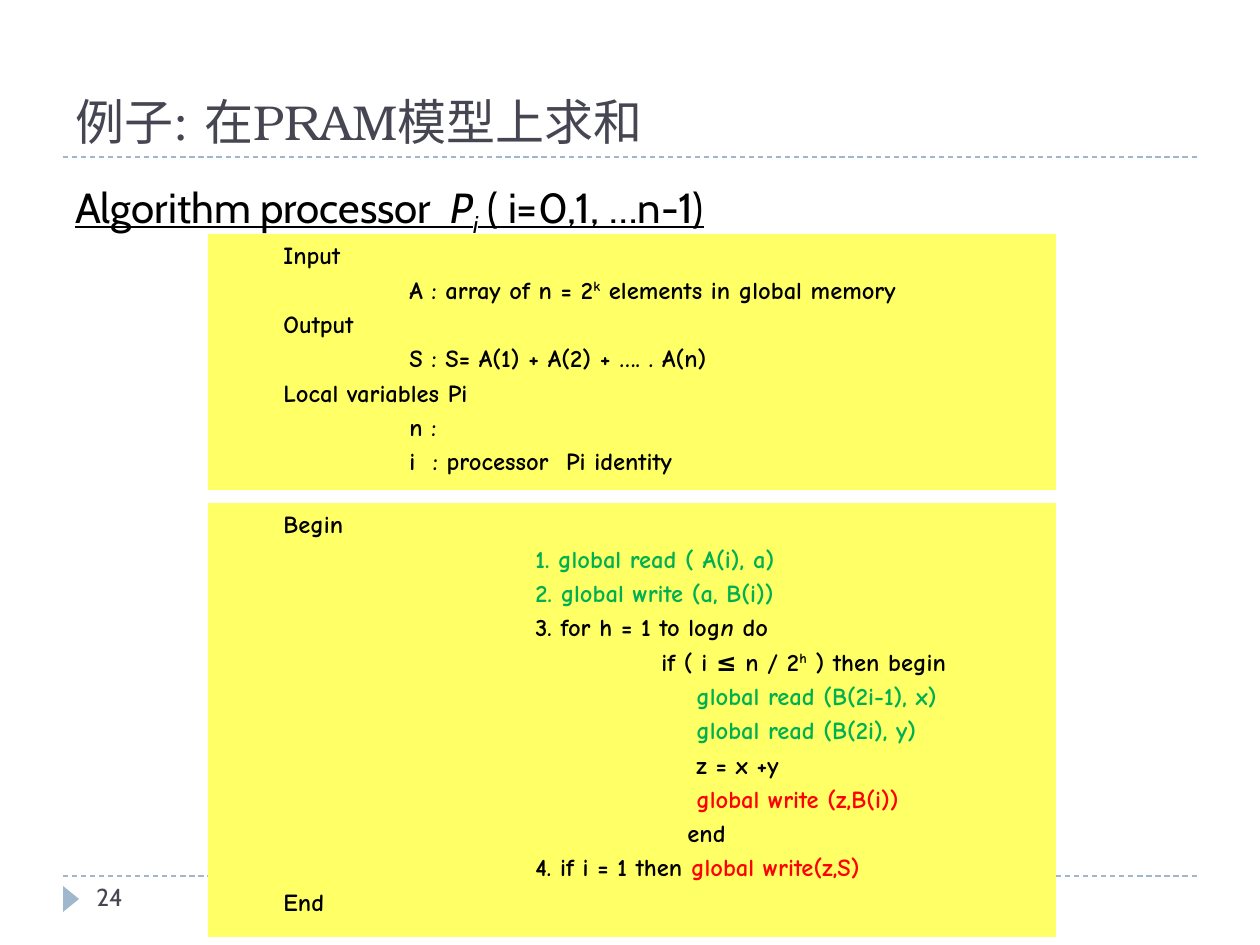
import pptx
import pptx.util
import pptx.dml.color
import pptx.enum.dml
import pptx.enum.shapes
import pptx.enum.text
import pptx.oxml
import pptx.oxml.ns
from dataclasses import dataclass


@dataclass(frozen=True)
class Theme:
    ink: str = "000000"
    slate: str = "464653"
    blue: str = "9FB8CD"
    yellow: str = "FFFF66"
    green: str = "00B050"
    red: str = "FF0000"
    serif: str = "TeX Gyre Bonum"
    sans: str = "Cabin"
    comic: str = "Comic Neue"
    title: int = 28
    head: int = 24
    small: int = 14


def px(n):
    return pptx.util.Emu(round(n * 914400 / 126))


def rgb(code):
    return pptx.dml.color.RGBColor.from_string(code)


class Deck:
    def __init__(self, theme):
        self.theme = theme
        self.show = pptx.Presentation()
        self.show.slide_width, self.show.slide_height = px(1260), px(945)
        self.slide = self.show.slides.add_slide(self.show.slide_layouts[5])

    def style(self, run, face, size, color, bold=False, italic=False, line=False, base=0):
        font = run.font
        font.name, font.size = face, pptx.util.Pt(size)
        font.bold, font.italic, font.underline = bold, italic, line
        font.color.rgb = rgb(color)
        if base:
            run._r.get_or_add_rPr().set("baseline", str(base * 1000))

    def fill(self, para, parts, **look):
        """Parts are (text, changes to the look) pairs."""
        para.alignment = pptx.enum.text.PP_ALIGN.LEFT
        for text, change in parts:
            run = para.add_run()
            run.text = text
            self.style(run, **{**look, **change})

    def title(self, text, box):
        shape = self.slide.shapes.title
        shape.left, shape.top, shape.width, shape.height = map(px, box)
        frame = shape.text_frame
        frame.text = text
        frame.auto_size = pptx.enum.text.MSO_AUTO_SIZE.NONE
        frame.vertical_anchor = pptx.enum.text.MSO_ANCHOR.BOTTOM
        para = frame.paragraphs[0]
        para.alignment = pptx.enum.text.PP_ALIGN.LEFT
        self.style(para.runs[0], self.theme.serif, self.theme.title, self.theme.slate)

    def label(self, parts, box, gap=0, **look):
        frame = self.slide.shapes.add_textbox(*map(px, box)).text_frame
        frame.word_wrap = True
        para = frame.paragraphs[0]
        para.space_before = pptx.util.Pt(gap)
        self.fill(para, parts, **look)

    def rule(self, x, y, end):
        line = self.slide.shapes.add_connector(
            pptx.enum.shapes.MSO_CONNECTOR.STRAIGHT, px(x), px(y), px(end), px(y))
        line.line.color.rgb = rgb(self.theme.blue)
        line.line.width = pptx.util.Pt(0.75)
        line.line.dash_style = pptx.enum.dml.MSO_LINE.DASH
        pptx.oxml.ns.qn("a:effectLst")
        line._element.spPr.append(pptx.oxml.parse_xml(
            "<a:effectLst %s/>" % pptx.oxml.ns.nsdecls("a")))

    def block(self, kind, box, color):
        shape = self.slide.shapes.add_shape(kind, *map(px, box))
        shape.shadow.inherit = False
        shape.fill.solid()
        shape.fill.fore_color.rgb = rgb(color)
        shape.line.fill.background()
        return shape

    def code(self, rows, box):
        """Rows are (left indent in px, parts) pairs."""
        theme = self.theme
        frame = self.block(pptx.enum.shapes.MSO_SHAPE.RECTANGLE, box, theme.yellow).text_frame
        frame.word_wrap = True
        frame.vertical_anchor = pptx.enum.text.MSO_ANCHOR.TOP
        frame.auto_size = pptx.enum.text.MSO_AUTO_SIZE.SHAPE_TO_FIT_TEXT
        for at, (left, parts) in enumerate(rows):
            para = frame.add_paragraph() if at else frame.paragraphs[0]
            para.level = 1
            self.fill(para, parts, face=theme.comic, size=theme.small,
                      color=theme.ink, bold=True)
            props = para._p.get_or_add_pPr()
            props.set("marL", str(px(left)))
            props.set("indent", "0")
            # Space before: 20 % of the line
            props.insert(0, pptx.oxml.parse_xml(
                '<a:spcBef %s><a:spcPct val="20000"/></a:spcBef>'
                % pptx.oxml.ns.nsdecls("a")))


def main():
    theme = Theme()
    deck = Deck(theme)

    # Frame of the page
    for y in (876, 157):
        deck.rule(63, y, 1197)
    mark = deck.block(pptx.enum.shapes.MSO_SHAPE.ISOSCELES_TRIANGLE,
                      (58, 891, 26, 16), theme.blue)
    mark.rotation = 90
    deck.label([("24", {})], (84, 876, 273, 50),
               face=theme.sans, size=theme.small, color=theme.slate)

    # Title and heading
    deck.title("例子: 在PRAM模型上求和", (63, 21, 1134, 136))
    deck.label([("Algorithm processor  ", {}), ("P", {"italic": True}),
                ("i", {"italic": True, "base": -25}), (" ( i=0,1, …n-1)", {})],
               (63, 175, 1134, 83), gap=6,
               face=theme.sans, size=theme.head, color=theme.ink, line=True)

    # Indents, one tab apart
    main_in, item, step, deep = range(63, 442, 126)
    inner, close = deep + 35, deep + 26
    green, red, power = {"color": theme.green}, {"color": theme.red}, {"base": 30}

    # Declarations
    deck.code([
        (main_in, [("Input", {})]),
        (item, [("A : array of n = 2", {}), ("k", power),
                (" elements in global memory", {})]),
        (main_in, [("Output", {})]),
        (item, [("S : S= A(1) + A(2) + …. . A(n)", {})]),
        (main_in, [("Local variables Pi", {})]),
        (item, [("n :", {})]),
        (item, [("i  : processor  Pi identity", {})]),
    ], (208, 234, 848, 256))

    # Steps
    deck.code([
        (main_in, [("Begin", {})]),
        (step, [("1. global read ( A(i), a)", green)]),
        (step, [("2. global write (a, B(i))", green)]),
        (step, [("3. for h = 1 to log", {}), ("n", {"italic": True}), (" do", {})]),
        (deep, [("if ( i ≤ n / 2", {}), ("h", power), (" ) then begin", {})]),
        (inner, [("global read (B(2i-1), x)", green)]),
        (inner, [("global read (B(2i), y)", green)]),
        (inner, [("z = x +y", {})]),
        (inner, [("global write (z,B(i))", red)]),
        (close, [("end", {})]),
        (step, [("4. if i = 1 then ", {}), ("global write(z,S)", red)]),
        (main_in, [("End", {})]),
    ], (208, 503, 848, 434))

    deck.show.save("out.pptx")


if __name__ == "__main__":
    main()
